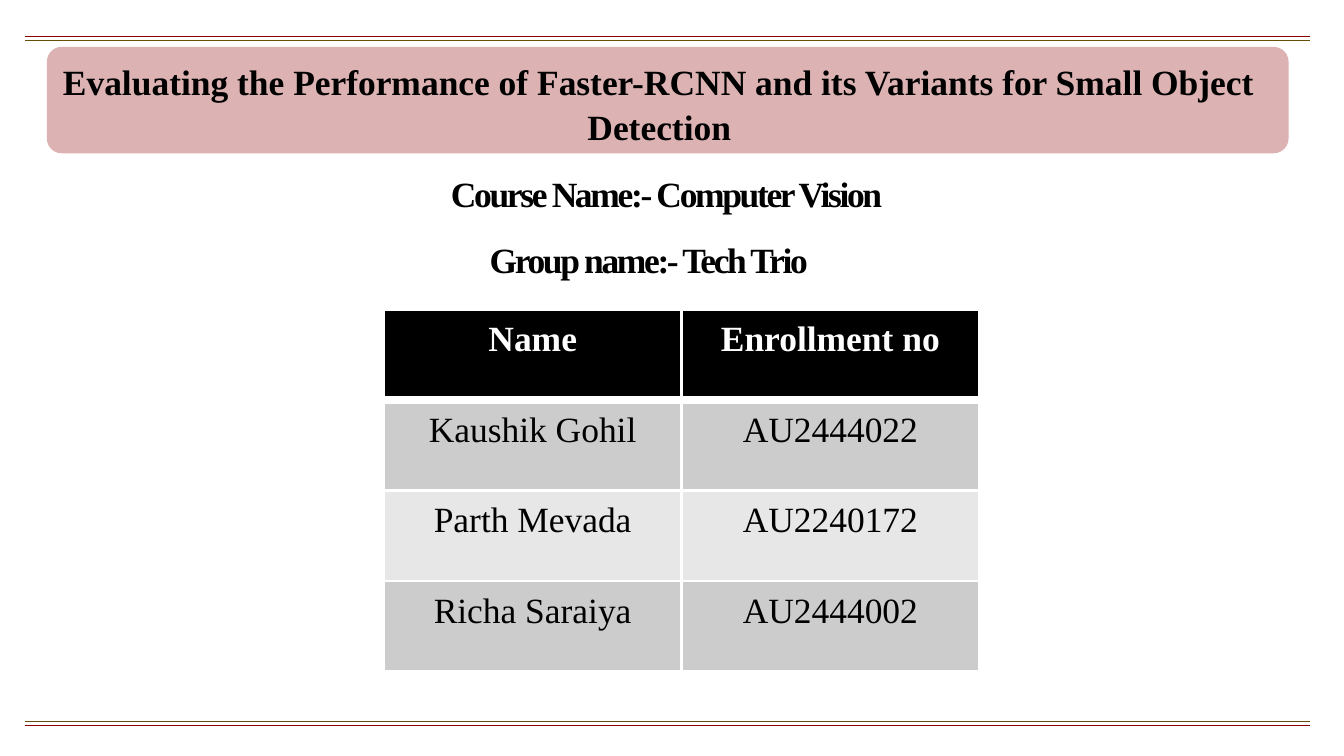
from pptx import Presentation
from pptx.dml.color import RGBColor
from pptx.enum.shapes import MSO_CONNECTOR, MSO_SHAPE
from pptx.enum.text import MSO_ANCHOR, MSO_AUTO_SIZE, PP_ALIGN
from pptx.oxml.ns import qn
from pptx.util import Cm, Pt
from lxml import etree

LINE = MSO_CONNECTOR.STRAIGHT
ROUNDED = MSO_SHAPE.ROUNDED_RECTANGLE
TOP = MSO_ANCHOR.TOP
NO_FIT = MSO_AUTO_SIZE.NONE
LEFT, CENTER = PP_ALIGN.LEFT, PP_ALIGN.CENTER


def color(value):
    return RGBColor.from_string(value)


def style(target, values):
    for name, value in values.items():
        setattr(target, name, value)


class Deck:
    font = {"name": "Times New Roman", "size": Pt(12)}
    frame = {"word_wrap": True, "auto_size": NO_FIT, "vertical_anchor": TOP,
             "margin_left": 0, "margin_top": Cm(0.05), "margin_right": 0, "margin_bottom": 0}

    def __init__(self, width, height):
        self.prs = Presentation()
        style(self.prs, {"slide_width": Cm(width), "slide_height": Cm(height)})
        self.s = self.prs.slides.add_slide(self.prs.slide_layouts[5])

    def text(self, p, text, fill="000000", bold=True, tracking=0, **layout):
        r = p.add_run()
        r.text = text
        style(r.font, {**self.font, "bold": bold})
        r.font.color.rgb = color(fill)
        if tracking:
            r.font._element.set("spc", str(tracking))
        style(p, {"alignment": CENTER, **layout})

    def title(self, text, left, top, width, height):
        sp = self.s.shapes.title
        style(sp, {"left": Cm(left), "top": Cm(top), "width": Cm(width), "height": Cm(height)})
        style(sp.text_frame, self.frame)
        self.text(sp.text_frame.paragraphs[0], text, line_spacing=1.05)

    def panel(self, fill, left, top, width, height):
        sp = self.s.shapes.add_shape(ROUNDED, Cm(left), Cm(top), Cm(width), Cm(height))
        sp.adjustments[0] = 0.14
        sp.shadow.inherit = False
        sp.fill.solid()
        sp.fill.fore_color.rgb = color(fill)
        sp.line.fill.background()
        self.s.shapes.title._element.addprevious(sp._element)

    def details(self, lines, left, top, width, height):
        tf = self.s.shapes.add_textbox(Cm(left), Cm(top), Cm(width), Cm(height)).text_frame
        style(tf, self.frame)
        for i, (text, indent) in enumerate(lines):
            p = tf.add_paragraph() if i else tf.paragraphs[0]
            self.text(p, text, tracking=-80, alignment=LEFT, space_before=Pt(8 if i else 0))
            p._p.get_or_add_pPr().set("marL", str(Cm(indent)))

    def rule(self, stroke, left, right, y):
        line = self.s.shapes.add_connector(LINE, Cm(left), Cm(y), Cm(right), Cm(y))
        line.line.color.rgb = color(stroke)
        line.line.width = Pt(0.28)
        etree.SubElement(line._element.spPr, qn("a:effectLst"))

    def borders(self, cell, widths):
        tcPr = cell._tc.get_or_add_tcPr()
        for i, (side, width) in enumerate(widths.items()):
            ln = etree.Element(qn(f"a:ln{side}"), w=str(Pt(width)))
            fill = etree.SubElement(ln, qn("a:solidFill"))
            etree.SubElement(fill, qn("a:srgbClr"), val="FFFFFF")
            tcPr.insert(i, ln)

    def table(self, rows, left, top, col_width, row_height):
        n, m = len(rows), len(rows[0])
        table = self.s.shapes.add_table(n, m, Cm(left), Cm(top), Cm(col_width * m),
                                        Cm(row_height * n)).table
        for i, row in enumerate(rows):
            fill = ("E7E7E7", "CCCCCC")[i % 2] if i else "000000"
            for j, text in enumerate(row):
                cell = table.cell(i, j)
                cell.fill.solid()
                cell.fill.fore_color.rgb = color(fill)
                self.text(cell.text_frame.paragraphs[0], text,
                          fill="000000" if i else "FFFFFF", bold=i == 0)
                self.borders(cell, {"L": 1, "R": 1, "T": 3 if i == 1 else 1,
                                    "B": 1 if i else 3})


def main():
    deck = Deck(16.03, 9.02)
    deck.panel("DCB2B2", 0.56, 0.56, 14.81, 1.27)
    deck.title("Evaluating the Performance of Faster-RCNN and its Variants for Small Object Detection",
               0.56, 0.64, 14.61, 1.07)
    deck.details([("Course Name:- Computer Vision", 4.62), ("Group name:- Tech Trio", 5.08)],
                 0.76, 2, 14.61, 1.5)
    for stroke, y in (("645009", 0.48), ("8B0000", 0.43), ("645009", 8.61), ("8B0000", 8.66)):
        deck.rule(stroke, 0.3, 15.63, y)
    deck.table([("Name", "Enrollment no"), ("Kaushik Gohil", "AU2444022"),
                ("Parth Mevada", "AU2240172"), ("Richa Saraiya", "AU2444002")],
               4.58, 3.69, 3.55, 1.08)
    deck.prs.save("out.pptx")


if __name__ == "__main__":
    main()
